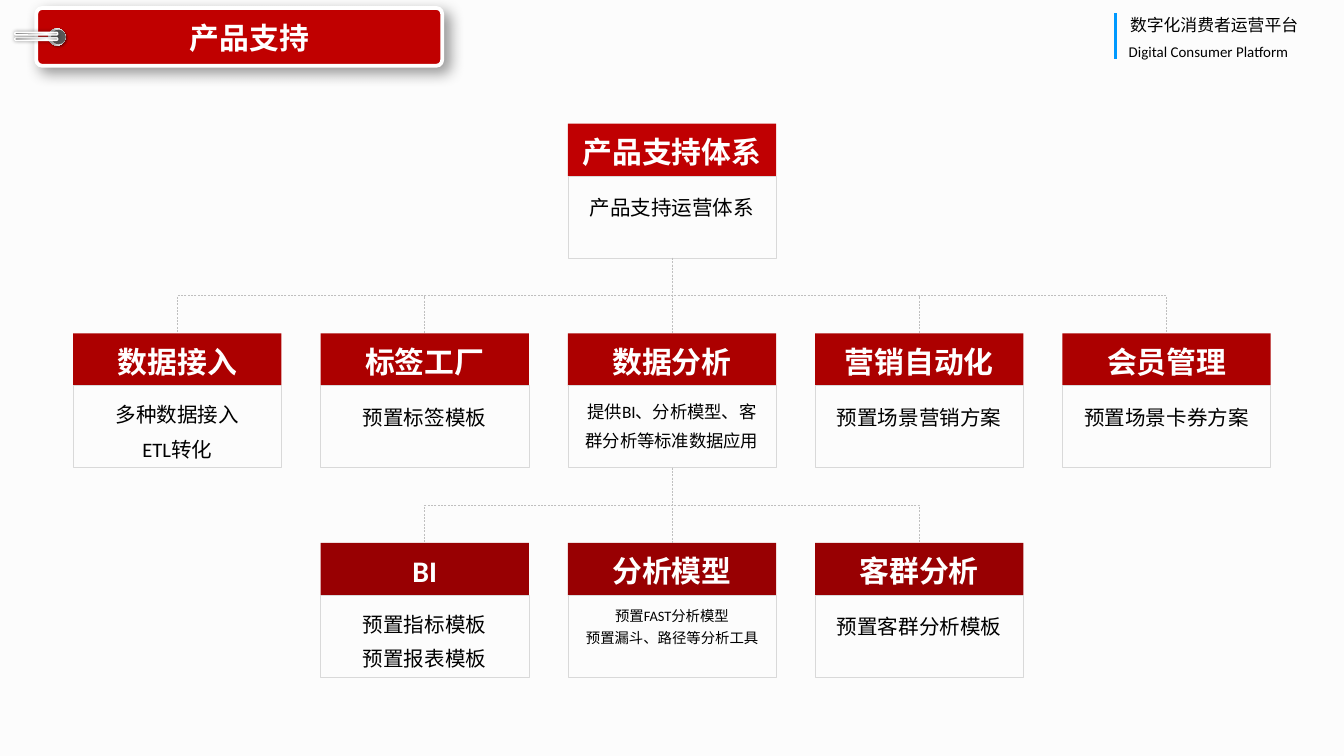
"""Builds the product support slide with its three-level chart."""
from typing import NamedTuple

from lxml.etree import SubElement
from pptx import Presentation
from pptx.dml.color import RGBColor
from pptx.enum.dml import MSO_LINE as Dash
from pptx.enum.shapes import MSO_CONNECTOR as Link, MSO_SHAPE as Kind
from pptx.enum.text import MSO_ANCHOR as Anchor, PP_ALIGN as Align
from pptx.oxml.ns import qn
from pptx.util import Emu, Inches, Pt

WIDE, HEAD, BODY = 1.55, 0.39, 0.61
MID, TOP, STEP, DROP = 5, 0.92, 1.84, 1.56
REDS = ["C00002", "AC0000", "980002"]
RING = [(0, "FFFFFF"), (17, "A6A6A6"), (35, "F2F2F2"),
        (55, "A6A6A6"), (75, "F2F2F2"), (100, "A6A6A6")]
STEEL = [(0, "808080"), (23, "A6A6A6"), (52, "D9D9D9"),
         (74, "FFFFFF"), (100, "A6A6A6")]


class Card(NamedTuple):
    row: int
    col: int
    title: str
    text: str
    size: float = 11
    gap: float = 1.5


class Label(NamedTuple):
    box: tuple
    text: str
    size: float
    align: Align = Align.JUSTIFY
    font: str = "Calibri"
    hue: str = "000000"
    bold: bool = False
    pad: tuple = (0.1, 0.05)


CARDS = [
    Card(0, 0, "产品支持体系", "产品支持运营体系"),
    Card(1, -2, "数据接入", "多种数据接入\nETL转化", gap=1.4),
    Card(1, -1, "标签工厂", "预置标签模板"),
    Card(1, 0, "数据分析", "提供BI、分析模型、客群分析等标准数据应用", 9.3, 1.4),
    Card(1, 1, "营销自动化", "预置场景营销方案"),
    Card(1, 2, "会员管理", "预置场景卡券方案"),
    Card(2, -1, "BI", "预置指标模板\n预置报表模板", gap=1.4),
    Card(2, 0, "分析模型", "预置FAST分析模型\n预置漏斗、路径等分析工具", 7.7, 1.3),
    Card(2, 1, "客群分析", "预置客群分析模板"),
]
LABELS = [
    Label((8.31, 0.06, 1.56, 0.25), "数字化消费者运营平台", 9),
    Label((8.3, 0.27, 1.57, 0.24), "Digital Consumer Platform", 8),
    Label((0.51, 0.11, 2.69, 0.34), "产品支持", 16, Align.CENTER,
          "Noto Sans CJK SC", "FFFFFF", True, (0.07, 0.04)),
]


def tint(code: str) -> RGBColor:
    return RGBColor.from_string(code)


def write(frame, text: str, size: float, hue="000000", bold=False,
          align=Align.CENTER, font="Calibri", gap=None) -> None:
    frame.word_wrap = True
    frame.text = text
    for para in frame.paragraphs:
        para.alignment = align
        para.line_spacing = gap
        for run in para.runs:
            run.font.name, run.font.size, run.font.bold = font, Pt(size), bold
            run.font.color.rgb = tint(hue)


def shape(slide, kind, box, fill=None, line=None, width=0.25, turn=0):
    item = slide.shapes.add_shape(kind, *map(Inches, box))
    item.shadow.inherit = False
    item.rotation = turn
    if fill:
        item.fill.solid()
        item.fill.fore_color.rgb = tint(fill)
    else:
        item.fill.background()
    if line:
        item.line.color.rgb = tint(line)
        item.line.width = Pt(width)
    else:
        item.line.fill.background()
    return item


def shade(item, blur: float, far: float, angle: int) -> None:
    effect = item._element.spPr.find(qn("a:effectLst"))
    cast = SubElement(effect, qn("a:outerShdw"), blurRad=str(Pt(blur)),
                      dist=str(Pt(far)), dir=str(angle * 60000),
                      algn="tl", rotWithShape="0")
    hue = SubElement(cast, qn("a:srgbClr"), val="000000")
    SubElement(hue, qn("a:alpha"), val="40000")


def blend(item, stops: list, angle: int) -> None:
    item.fill.gradient()
    item.fill.gradient_angle = (360 - angle) % 360
    group = item._element.spPr.find(".//" + qn("a:gsLst"))
    for old in list(group):
        group.remove(old)
    for place, code in stops:
        stop = SubElement(group, qn("a:gs"), pos=str(place * 1000))
        SubElement(stop, qn("a:srgbClr"), val=code)


def stroke(wire, hue: str, width: float) -> None:
    wire.line.color.rgb = tint(hue)
    wire.line.width = Pt(width)
    SubElement(wire._element.spPr, qn("a:effectLst"))


def draw(slide, card: Card) -> tuple:
    left = MID + STEP * card.col - WIDE / 2
    top = TOP + DROP * card.row
    head = shape(slide, Kind.RECTANGLE, (left, top, WIDE, HEAD), REDS[card.row])
    head.text_frame.vertical_anchor = Anchor.MIDDLE
    write(head.text_frame, card.title, 16, "FFFFFF", True, gap=1.1)
    body = shape(slide, Kind.RECTANGLE, (left, top + HEAD, WIDE, BODY),
                 line="D9D9D9")
    body.text_frame.vertical_anchor = Anchor.TOP
    write(body.text_frame, card.text, card.size, gap=card.gap)
    return head, body


def join(slide, body, head, side: int) -> None:
    kind = Link.ELBOW if side else Link.STRAIGHT
    wire = slide.shapes.add_connector(kind, 0, 0, 0, 0)
    wire.begin_connect(body, 2)
    wire.end_connect(head, 0)
    if side:
        wide, high = wire.width, wire.height
        midx, midy = wire.left + wide // 2, wire.top + high // 2
        wire.left, wire.top = Emu(midx - high // 2), Emu(midy - wide // 2)
        wire.width, wire.height = high, wide
        frame = wire._element.spPr.find(qn("a:xfrm"))
        frame.set("rot", str((270 if side > 0 else 90) * 60000))
        frame.set("flipH", "1" if side > 0 else "0")
    stroke(wire, "BFBFBF", 0.25)
    wire.line.dash_style = Dash.DASH


def banner(slide) -> None:
    plate = shape(slide, Kind.ROUNDED_RECTANGLE, (0.27, 0.06, 3.02, 0.43),
                  "C00000", "FFFFFF", 2)
    plate.adjustments[0] = 0.1
    shade(plate, 8, 4, 45)
    ring = shape(slide, Kind.OVAL, (0.36, 0.21, 0.13, 0.13), turn=270)
    blend(ring, RING, 45)
    shade(ring, 1, 1, 45)
    shape(slide, Kind.OVAL, (0.38, 0.22, 0.11, 0.11), "595959", turn=270)
    for top in (0.13, 0.09):
        pin = shape(slide, Kind.ROUNDED_RECTANGLE, (0.26, top, 0.02, 0.32),
                    line="FFFFFF", width=0.75, turn=270)
        pin.adjustments[0] = 0.5
        blend(pin, STEEL, 90)
        shade(pin, 2, 0, 0)
    bar = slide.shapes.add_connector(
        Link.STRAIGHT, *map(Inches, (8.3, 0.1, 8.3, 0.44)))
    stroke(bar, "0099FF", 1.5)
    for label in LABELS:
        frame = slide.shapes.add_textbox(*map(Inches, label.box)).text_frame
        side, edge = map(Inches, label.pad)
        frame.margin_left = frame.margin_right = side
        frame.margin_top = frame.margin_bottom = edge
        write(frame, label.text, label.size, label.hue, label.bold,
              label.align, label.font)


def main() -> None:
    deck = Presentation()
    deck.slide_width = Inches(10)
    deck.slide_height = Emu(deck.slide_width * 9 // 16)
    slide = deck.slides.add_slide(deck.slide_layouts[6])
    slide.background.fill.solid()
    slide.background.fill.fore_color.rgb = tint("FCFCFC")
    banner(slide)
    hubs = {}
    for card in CARDS:
        head, body = draw(slide, card)
        if card.row:
            join(slide, hubs[card.row - 1], head, card.col)
        if card.col == 0:
            hubs[card.row] = body
    deck.save("out.pptx")


if __name__ == "__main__":
    main()
